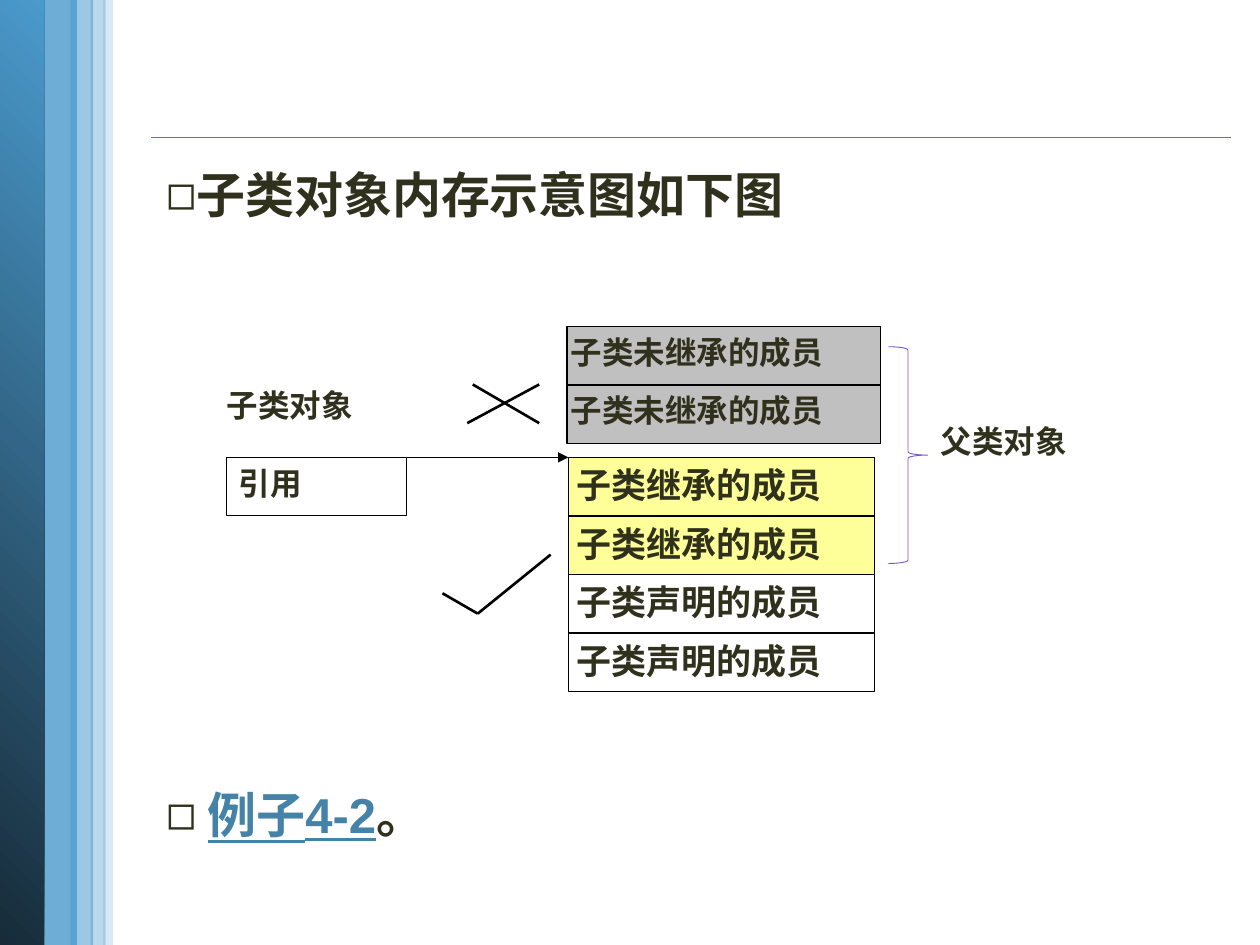
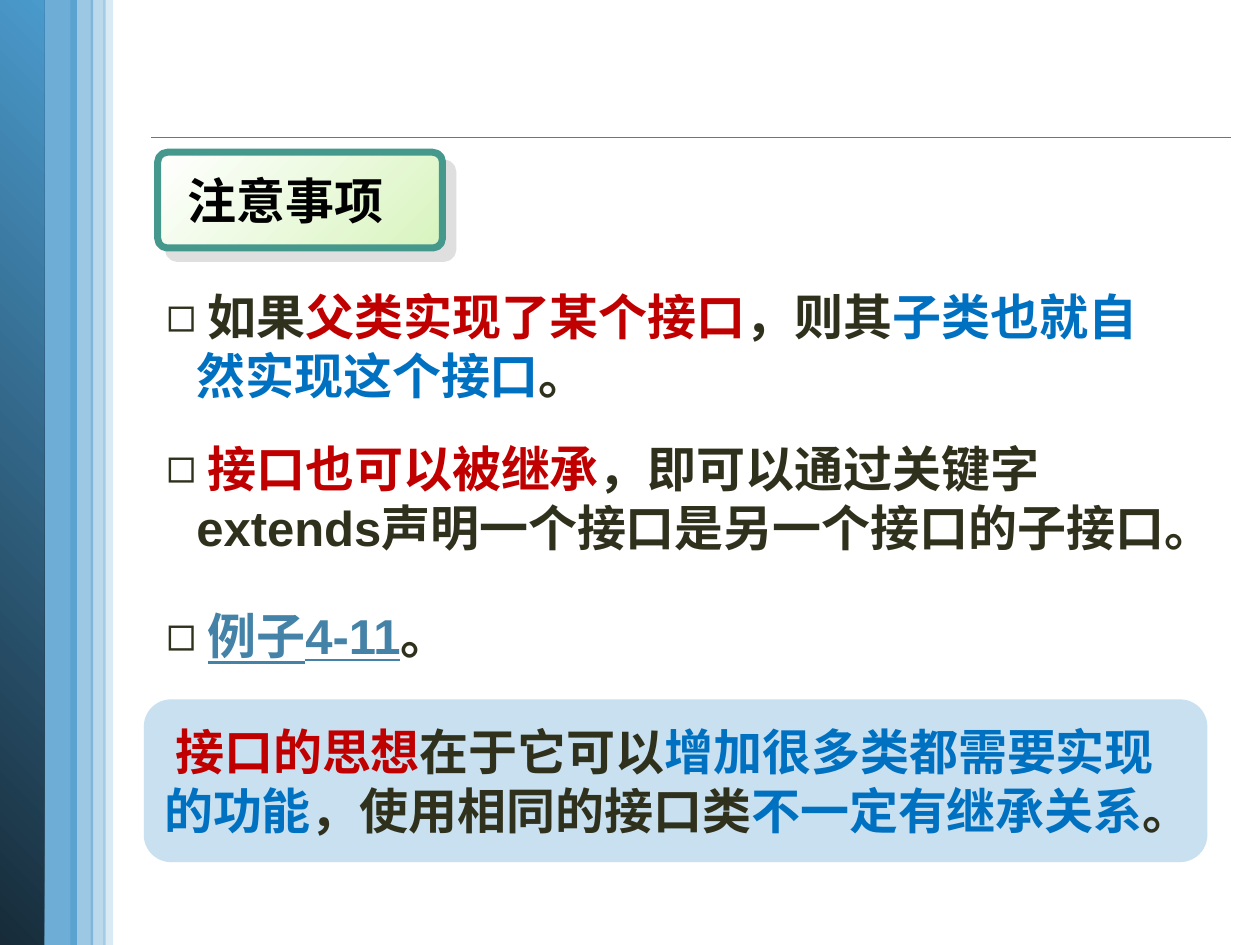
from itertools import pairwise

from lxml import etree
from pptx import Presentation
from pptx import util as u
from pptx.dml import color
from pptx.enum import shapes, text
from pptx.oxml import ns

COLORS = {
    "ink": "30311D", "black": "000000", "white": "FFFFFF",
    "link": "4582A7", "red": "C00000", "blue": "0070C0",
    "band": "4A9ACC", "band_dark": "172B39",
    "lost": "C0C0C0", "inherited": "FFFF99", "brace": "7E52CC",
    "heading_edge": "44988C", "heading_green": "D8F4BE", "shadow": "C0C0C0",
}
SHAPE = shapes.MSO_SHAPE
SLIDE_W, SLIDE_H = 25.4, 19.05
CELL_H = 1.18
BULLET_X, BULLET_W = 3.1, 21.03
BULLET_INDENT = 0.61


def rgb(name):
    return color.RGBColor.from_string(COLORS[name])


def sub(parent, tag, **attributes):
    return etree.SubElement(parent, ns.qn(tag), attributes)


def set_alpha(shape, percent):
    fill_color = shape.fill._xPr.find(ns.qn("a:solidFill"))[0]
    sub(fill_color, "a:alpha", val=str(percent * 1000))


def set_gradient(shape, start, end, angle):
    """Angle runs counter-clockwise from left-to-right."""
    shape.fill.gradient()
    shape.fill.gradient_angle = angle
    for stop, name in zip(shape.fill.gradient_stops, (start, end)):
        stop.color.rgb = rgb(name)


def add_box(slide, kind, x, y, w, h, fill=None, line=None, weight=0.75):
    box = slide.shapes.add_shape(kind, *map(u.Cm, (x, y, w, h)))
    box.shadow.inherit = False
    if fill:
        box.fill.solid()
        box.fill.fore_color.rgb = rgb(fill)
    else:
        box.fill.background()
    if line:
        box.line.color.rgb = rgb(line)
        box.line.width = u.Pt(weight)
    else:
        box.line.fill.background()
    return box


def add_line(slide, start, end, line="black", weight=1.5, arrow=False):
    connector = slide.shapes.add_connector(
        shapes.MSO_CONNECTOR.STRAIGHT, *map(u.Cm, (*start, *end)))
    connector.line.color.rgb = rgb(line)
    connector.line.width = u.Pt(weight)
    if arrow:
        sub(connector.line._get_or_add_ln(), "a:tailEnd", type="triangle")
    sub(connector._element.spPr, "a:effectLst")


def add_runs(paragraph, runs, size, font="Arial"):
    """Each run is (text, colour name); runs in the link colour are underlined."""
    paragraph.alignment = text.PP_ALIGN.LEFT
    for wording, name in runs:
        run = paragraph.add_run()
        run.text = wording
        run.font.size = u.Pt(size)
        run.font.name = font
        run.font.bold = True
        run.font.underline = name == "link"
        run.font.color.rgb = rgb(name)


def add_label(slide, wording, x, y, w, h, inset=0.25, font="Arial"):
    frame = slide.shapes.add_textbox(*map(u.Cm, (x, y, w, h))).text_frame
    frame.word_wrap = True
    frame.margin_left = u.Cm(inset)
    add_runs(frame.paragraphs[0], [(wording, "ink")], 18, font)


def add_bullet(slide, runs, y, h=1.45, w=BULLET_W):
    frame = slide.shapes.add_textbox(*map(u.Cm, (BULLET_X, y, w, h))).text_frame
    frame.word_wrap = True
    paragraph = frame.paragraphs[0]
    properties = paragraph._p.get_or_add_pPr()
    indent = u.Cm(BULLET_INDENT)
    properties.set("marL", str(indent))
    properties.set("indent", str(-indent))
    sub(properties, "a:buFont", typeface="Arial")
    sub(properties, "a:buChar", char="◻")
    add_runs(paragraph, runs, 28)


def add_example(slide, number, y):
    add_bullet(slide, [(" ", "ink"), (f"例子{number}", "link"), ("。", "ink")], y)


def add_member(slide, wording, x, y, w, fill, size, inset):
    """One cell of the memory diagram."""
    cell = add_box(slide, SHAPE.RECTANGLE, x, y, w, CELL_H, fill, "black")
    frame = cell.text_frame
    frame.vertical_anchor = text.MSO_ANCHOR.TOP
    frame.margin_left, frame.margin_right = u.Cm(inset), 0
    add_runs(frame.paragraphs[0], [(wording, "ink")], size, "Times New Roman")


def add_members(slide, members, x, y, w, size, inset):
    for row, (wording, fill) in enumerate(members):
        add_member(slide, wording, x, y + row * CELL_H, w, fill, size, inset)


def add_bands(slide):
    """The title rule and the vertical bands on the left edge."""
    add_line(slide, (3.05, 2.77), (24.82, 2.77), "link", 1)

    def band(x, w, alpha):
        strip = add_box(slide, SHAPE.RECTANGLE, x, 0, w, SLIDE_H, "band")
        set_alpha(strip, alpha)

    band(0.76, 0.79, 80)
    edge = add_box(slide, SHAPE.RECTANGLE, 0, 0, 0.89, SLIDE_H)
    set_gradient(edge, "band_dark", "band", 45)
    for x, w, alpha in ((2.08, 0.2, 20), (1.42, 0.46, 54), (1.83, 0.3, 37)):
        band(x, w, alpha)


def add_heading(slide, wording):
    plate = add_box(slide, SHAPE.ROUNDED_RECTANGLE, 3.18, 3.07, 5.74, 1.93,
                    line="heading_edge", weight=4)
    plate.adjustments[0] = 0.1
    set_gradient(plate, "white", "heading_green", 315)
    effects = plate._element.spPr.find(ns.qn("a:effectLst"))
    shadow = sub(effects, "a:outerShdw", dist=str(u.Pt(8.5)), dir="2700000",
                 algn="ctr", rotWithShape="0")
    shade = sub(shadow, "a:srgbClr", val=COLORS["shadow"])
    sub(shade, "a:alpha", val="50000")
    frame = plate.text_frame
    frame.margin_left = u.Cm(0.55)
    frame.vertical_anchor = text.MSO_ANCHOR.MIDDLE
    add_runs(frame.paragraphs[0], [(wording, "black")], 28)


def add_callout(slide, lines):
    panel = add_box(slide, SHAPE.ROUNDED_RECTANGLE, 2.9, 14.1, 21.44, 3.28, "band")
    set_alpha(panel, 30)
    frame = panel.text_frame
    frame.word_wrap = False
    frame.vertical_anchor = text.MSO_ANCHOR.MIDDLE
    for index, runs in enumerate(lines):
        paragraph = frame.add_paragraph() if index else frame.paragraphs[0]
        add_runs(paragraph, runs, 28)


def build_memory_slide(slide):
    add_bullet(slide, [("子类对象内存示意图如下图", "ink")], 3.2)

    add_members(slide, [("子类未继承的成员", "lost")] * 2, 11.43, 6.58, 6.32, 18, 0.08)
    members = [("子类继承的成员", "inherited")] * 2 + [("子类声明的成员", "white")] * 2
    add_members(slide, members, 11.46, 9.22, 6.17, 20, 0.16)

    add_label(slide, "子类对象", 4.57, 7.65, 3.99, CELL_H, 0, "Times New Roman")
    add_member(slide, "引用", 4.57, 9.22, 3.63, "white", 18, 0.24)
    add_line(slide, (8.2, 9.22), (11.46, 9.22), weight=0.75, arrow=True)

    cross = (((9.53, 7.75), (10.87, 8.53)), ((10.87, 7.75), (9.42, 8.53)))
    tick = pairwise(((8.92, 11.96), (9.63, 12.37), (11.1, 11.18)))
    for start, end in (*cross, *tick):
        add_line(slide, start, end)

    add_box(slide, SHAPE.RIGHT_BRACE, 17.91, 6.99, 0.79, 4.37, line="brace", weight=0.5)
    add_label(slide, "父类对象", 18.72, 8.38, 3.94, 1.3)
    add_example(slide, "4-2", 15.7)


def build_notes_slide(slide):
    add_heading(slide, "注意事项")
    add_bullet(slide, [
        (" 如果", "ink"), ("父类实现了某个接口", "red"), ("，则其", "ink"),
        ("子类也就自然实现这个接口", "blue"), ("。", "ink")], 5.66, 2.64)
    add_bullet(slide, [
        (" ", "ink"), ("接口也可以被继承", "red"),
        ("，即可以通过关键字extends声明一个接口是另一个接口的子接口。", "ink"),
    ], 8.71, 2.64, 21.31)
    add_example(slide, "4-11", 12.09)
    add_callout(slide, [
        [(" ", "ink"), ("接口的思想", "red"), ("在于它可以", "ink"),
         ("增加很多类都需要实现", "blue")],
        [("的功能", "blue"), ("，使用相同的接口类", "ink"),
         ("不一定有继承关系", "blue"), ("。", "ink")],
    ])


def main():
    deck = Presentation()
    deck.slide_width, deck.slide_height = u.Cm(SLIDE_W), u.Cm(SLIDE_H)
    for build in (build_memory_slide, build_notes_slide):
        slide = deck.slides.add_slide(deck.slide_layouts[6])
        add_bands(slide)
        build(slide)
    deck.save("out.pptx")


if __name__ == "__main__":
    main()
